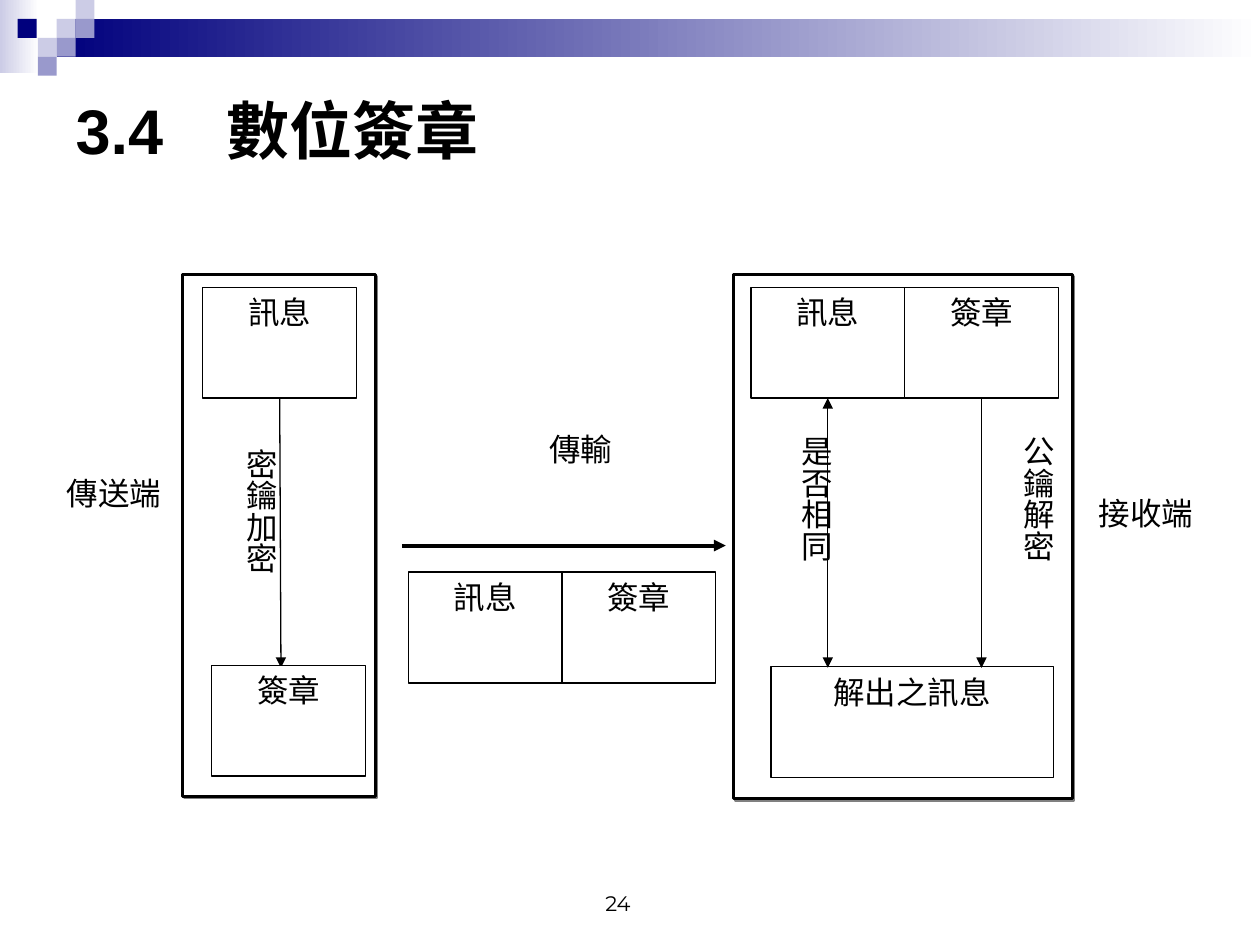
from lxml import etree
from pptx import Presentation
from pptx.dml.color import RGBColor
from pptx.enum.shapes import MSO_CONNECTOR, MSO_SHAPE
from pptx.enum.text import MSO_ANCHOR, MSO_AUTO_SIZE, PP_ALIGN
from pptx.oxml.ns import qn
from pptx.util import Inches, Pt

RECTANGLE = MSO_SHAPE.RECTANGLE
STRAIGHT = MSO_CONNECTOR.STRAIGHT
LEFT, CENTER = PP_ALIGN.LEFT, PP_ALIGN.CENTER
TOP, MIDDLE, BOTTOM = MSO_ANCHOR.TOP, MSO_ANCHOR.MIDDLE, MSO_ANCHOR.BOTTOM
NO_AUTOFIT = MSO_AUTO_SIZE.NONE
BOTTOM_SITE = 2

COLORS = {
    "ink": "000000",
    "paper": "FFFFFF",
    "navy": "00007D",
    "lavender": "CCCCE6",
    "violet": "9999CC",
    "shadow": "808080",
}
COLUMNS, ROWS = 100, 75
BOX_WIDTH, BOX_HEIGHT = 12.2, 8.8


class Diagram:
    body_font = "Times New Roman"
    body_size = 18

    def __init__(self, presentation):
        self.column = presentation.slide_width / COLUMNS
        self.row = presentation.slide_height / ROWS
        self.slide = presentation.slides.add_slide(presentation.slide_layouts[5])
        self.shapes = self.slide.shapes

    def place(self, left, top, width, height):
        return (round(left * self.column), round(top * self.row),
                round(width * self.column), round(height * self.row))

    def color(self, name):
        return RGBColor.from_string(COLORS[name])

    def set_text(self, shape, text, align=CENTER, anchor=TOP, font=body_font,
                 size=body_size, bold=False, margins=(0.1, 0.05)):
        frame = shape.text_frame
        frame.word_wrap = True
        frame.auto_size = NO_AUTOFIT
        frame.vertical_anchor = anchor
        frame.margin_left = frame.margin_right = Inches(margins[0])
        frame.margin_top = frame.margin_bottom = Inches(margins[1])
        frame.text = text
        paragraph = frame.paragraphs[0]
        paragraph.alignment = align
        paragraph.font.name = font
        paragraph.font.size = Pt(size)
        paragraph.font.bold = bold
        paragraph.font.color.rgb = self.color("ink")

    def title(self, text, *bounds):
        shape = self.shapes.title
        shape.left, shape.top, shape.width, shape.height = self.place(*bounds)
        self.set_text(shape, text, LEFT, MIDDLE, "Arial", 36, True)

    def rectangle(self, *bounds, fill="paper", line_width=None):
        shape = self.shapes.add_shape(RECTANGLE, *self.place(*bounds))
        shape.shadow.inherit = False
        shape.fill.solid()
        shape.fill.fore_color.rgb = self.color(fill)
        if line_width:
            shape.line.color.rgb = self.color("ink")
            shape.line.width = Pt(line_width)
        else:
            shape.line.fill.background()
        return shape

    def gradient(self, start, end, *bounds):
        shape = self.rectangle(*bounds)
        shape.fill.gradient()
        shape.fill.gradient_angle = 0
        for stop, name, position in zip(shape.fill.gradient_stops, (start, end), (0, 1)):
            stop.color.rgb = self.color(name)
            stop.position = position

    def panel(self, *bounds):
        shape = self.rectangle(*bounds, line_width=1.5)
        effects = shape.element.spPr.find(qn("a:effectLst"))
        shadow = etree.SubElement(effects, qn("a:outerShdw"), dist=str(Pt(1.4)),
                                  dir="2700000", algn="ctr", rotWithShape="0")
        etree.SubElement(shadow, qn("a:srgbClr"), val=COLORS["shadow"])

    def box(self, text, left, top, width=BOX_WIDTH):
        shape = self.rectangle(left, top, width, BOX_HEIGHT, line_width=0.75)
        self.set_text(shape, text)
        return shape

    def label(self, text, left, top, width, align=CENTER, inset=0):
        shape = self.rectangle(left, top, width, BOX_HEIGHT)
        self.set_text(shape, text, align, margins=(inset, 0.05))

    def vertical_label(self, text, left, top):
        shape = self.shapes.add_textbox(*self.place(left, top, 8.1, 20.6))
        self.set_text(shape, text, margins=(0, 0.1))
        shape.element.txBody.bodyPr.set("vert", "eaVert")

    def page_number(self, text, *bounds):
        shape = self.shapes.add_textbox(*self.place(*bounds))
        self.set_text(shape, text, anchor=BOTTOM, font="Montserrat", size=12)

    def arrow(self, start, end, width=0.75, source=None, ends=("tailEnd",)):
        connector = self.shapes.add_connector(
            STRAIGHT, *self.place(*start, *end))
        if source is not None:
            connector.begin_connect(source, BOTTOM_SITE)
        connector.line.color.rgb = self.color("ink")
        connector.line.width = Pt(width)
        properties = connector.element.spPr
        for end_name in ends:
            etree.SubElement(properties.get_or_add_ln(), qn(f"a:{end_name}"), type="triangle")
        etree.SubElement(properties, qn("a:effectLst"))


def draw_banner(diagram):
    diagram.gradient("lavender", "paper", 0, 0, 3.1, 5.8)
    diagram.gradient("navy", "paper", 4.5, 1.5, 95.5, 3)
    for left, top, fill in (
        (4.5, 1.5, "lavender"), (6, 0, "lavender"), (6, 1.5, "violet"),
        (3, 3, "lavender"), (1.4, 1.5, "navy"), (4.5, 3, "violet"), (3, 4.5, "violet"),
    ):
        diagram.rectangle(left, top, 1.5, 1.5, fill=fill)


def draw_sender(diagram):
    diagram.panel(14.5, 21.8, 15.3, 41.4)
    message = diagram.box("訊息", 16.1, 22.8)
    diagram.arrow((22.2, 31.6), (22.3, 53), source=message)
    diagram.box("簽章", 16.8, 52.8)
    diagram.vertical_label("密鑰加密", 14.1, 34.6)
    diagram.label("傳送端", 4.3, 37.1, 9.5)


def draw_transfer(diagram):
    diagram.arrow((31.9, 43.3), (57.6, 43.3), width=2.25)
    diagram.label("傳輸", 42.6, 33.6, 10.2, LEFT, 0.1)
    for index, text in enumerate(("訊息", "簽章")):
        diagram.box(text, 32.4 + index * BOX_WIDTH, 45.4)


def draw_receiver(diagram):
    diagram.panel(58.2, 21.8, 26.9, 41.6)
    message, signature = (
        diagram.box(text, 59.6 + index * BOX_WIDTH, 22.8)
        for index, text in enumerate(("訊息", "簽章")))
    diagram.box("解出之訊息", 61.2, 52.9, 22.4)
    diagram.arrow((77.9, 31.6), (77.9, 53), source=signature)
    diagram.arrow((65.7, 31.6), (65.7, 53), source=message, ends=("headEnd", "tailEnd"))
    diagram.vertical_label("公鑰解密", 75.8, 33.6)
    diagram.vertical_label("是否相同", 58.2, 33.6)
    diagram.label("接收端", 86.2, 38.7, 9.5)


def main():
    presentation = Presentation()
    presentation.slide_width = Inches(10)
    presentation.slide_height = Inches(7.5)
    diagram = Diagram(presentation)
    draw_banner(diagram)
    diagram.title("3.4　數位簽章", 5, 5, 90, 10.5)
    draw_sender(diagram)
    draw_transfer(diagram)
    draw_receiver(diagram)
    diagram.page_number("24", 37.4, 68.2, 23.3, 5)
    presentation.save("out.pptx")


if __name__ == "__main__":
    main()
